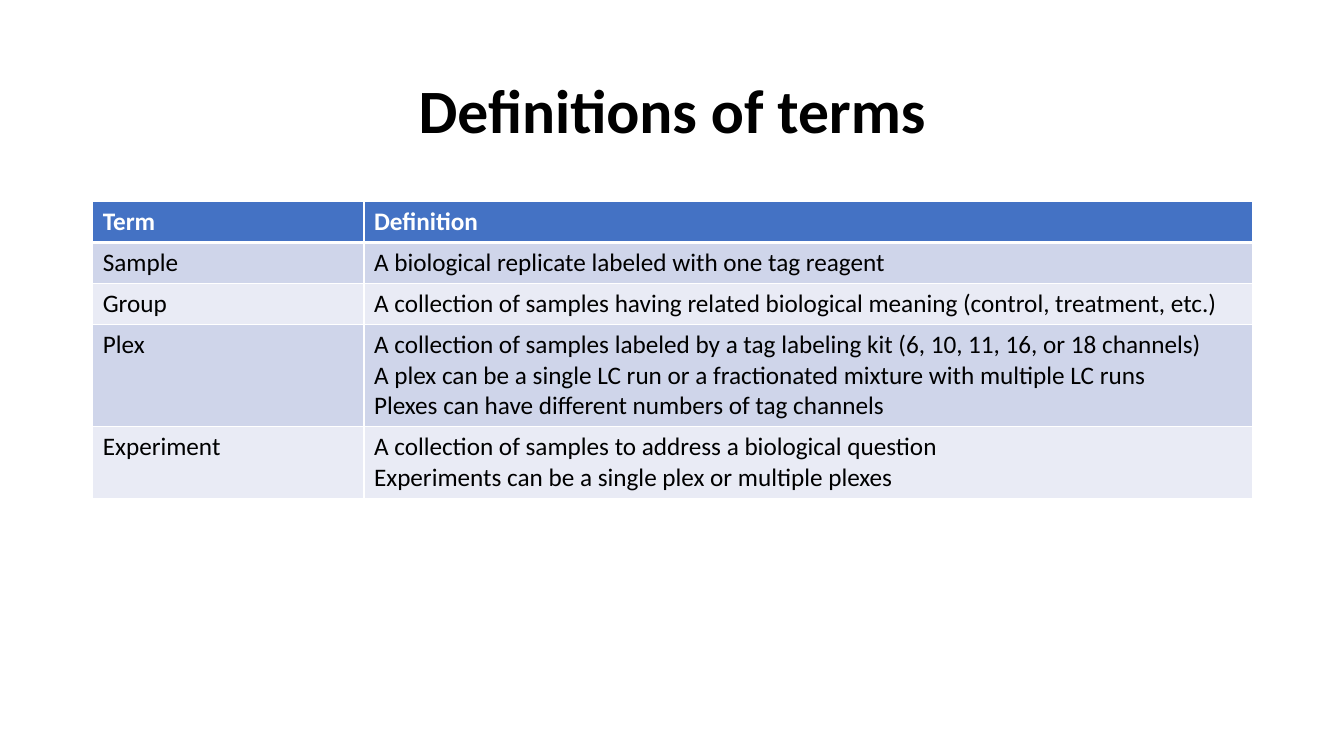
from lxml import etree
from pptx import Presentation
from pptx.dml.color import RGBColor
from pptx.enum import text
from pptx.oxml import ns
from pptx.util import Inches, Pt

COLORS = {
    "ink": "000000",
    "white": "FFFFFF",
    "header": "4472C4",
    "odd": "CFD5EA",
    "even": "E9EBF5",
}
FONT = "Calibri"
TERMS = [
    ("Term", ["Definition"]),
    ("Sample", ["A biological replicate labeled with one tag reagent"]),
    ("Group", ["A collection of samples having related biological meaning "
               "(control, treatment, etc.)"]),
    ("Plex", ["A collection of samples labeled by a tag labeling kit "
              "(6, 10, 11, 16, or 18 channels)",
              "A plex can be a single LC run or a fractionated mixture "
              "with multiple LC runs",
              "Plexes can have different numbers of tag channels"]),
    ("Experiment", ["A collection of samples to address a biological question",
                    "Experiments can be a single plex or multiple plexes"]),
]


def write(frame, lines, size=18, color="ink", bold=False,
          align=text.PP_ALIGN.LEFT, spacing=None):
    """Fill a text frame with one paragraph, its lines split by line breaks."""
    para = frame.paragraphs[0]
    para.alignment = align
    para.line_spacing = spacing
    for index, line in enumerate(lines):
        if index:
            para.add_line_break()
        span = para.add_run()
        span.text = line
        span.font.name = FONT
        span.font.size = Pt(size)
        span.font.bold = bold
        span.font.color.rgb = RGBColor.from_string(COLORS[color])


def set_borders(cell, **widths):
    """Draw white cell borders; widths in points, keyed L, R, T, B."""
    properties = cell._tc.get_or_add_tcPr()
    for side in "LRTB":
        line = etree.SubElement(properties, ns.qn(f"a:ln{side}"),
                                w=str(Pt(widths.get(side, 1))))
        fill = etree.SubElement(line, ns.qn("a:solidFill"))
        etree.SubElement(fill, ns.qn("a:srgbClr"), val=COLORS["white"])


def place_title(page, left, top, width, height):
    title = page.shapes.title
    title.left, title.top = Inches(left), Inches(top)
    title.width, title.height = Inches(width), Inches(height)
    title.text_frame.vertical_anchor = text.MSO_ANCHOR.MIDDLE
    write(title.text_frame, ["Definitions of terms"], size=44, bold=True,
          align=text.PP_ALIGN.CENTER, spacing=0.9)


def place_terms(page, left, top, width, height, term_width=2.69):
    frame = page.shapes.add_table(len(TERMS), 2, Inches(left), Inches(top),
                                  Inches(width), Inches(height))
    table = frame.table
    table.columns[0].width = Inches(term_width)
    table.columns[1].width = Inches(width - term_width)
    for row, (term, definition) in enumerate(TERMS):
        table.rows[row].height = Inches(0.1 + 0.3 * len(definition))
        is_header = row == 0
        fill = "header" if is_header else "odd" if row % 2 else "even"
        for column, lines in enumerate(([term], definition)):
            cell = table.cell(row, column)
            set_borders(cell, T=3 if row == 1 else 1, B=3 if is_header else 1)
            cell.fill.solid()
            cell.fill.fore_color.rgb = RGBColor.from_string(COLORS[fill])
            write(cell.text_frame, lines, bold=is_header,
                  color="white" if is_header else "ink")


def main():
    deck = Presentation()
    deck.slide_width, deck.slide_height = Inches(13.33), Inches(7.5)
    page = deck.slides.add_slide(deck.slide_layouts[5])
    place_title(page, 0.92, 0.4, 11.5, 1.45)
    place_terms(page, 0.92, 2, 11.5, 2.92)
    deck.save("out.pptx")


if __name__ == "__main__":
    main()
